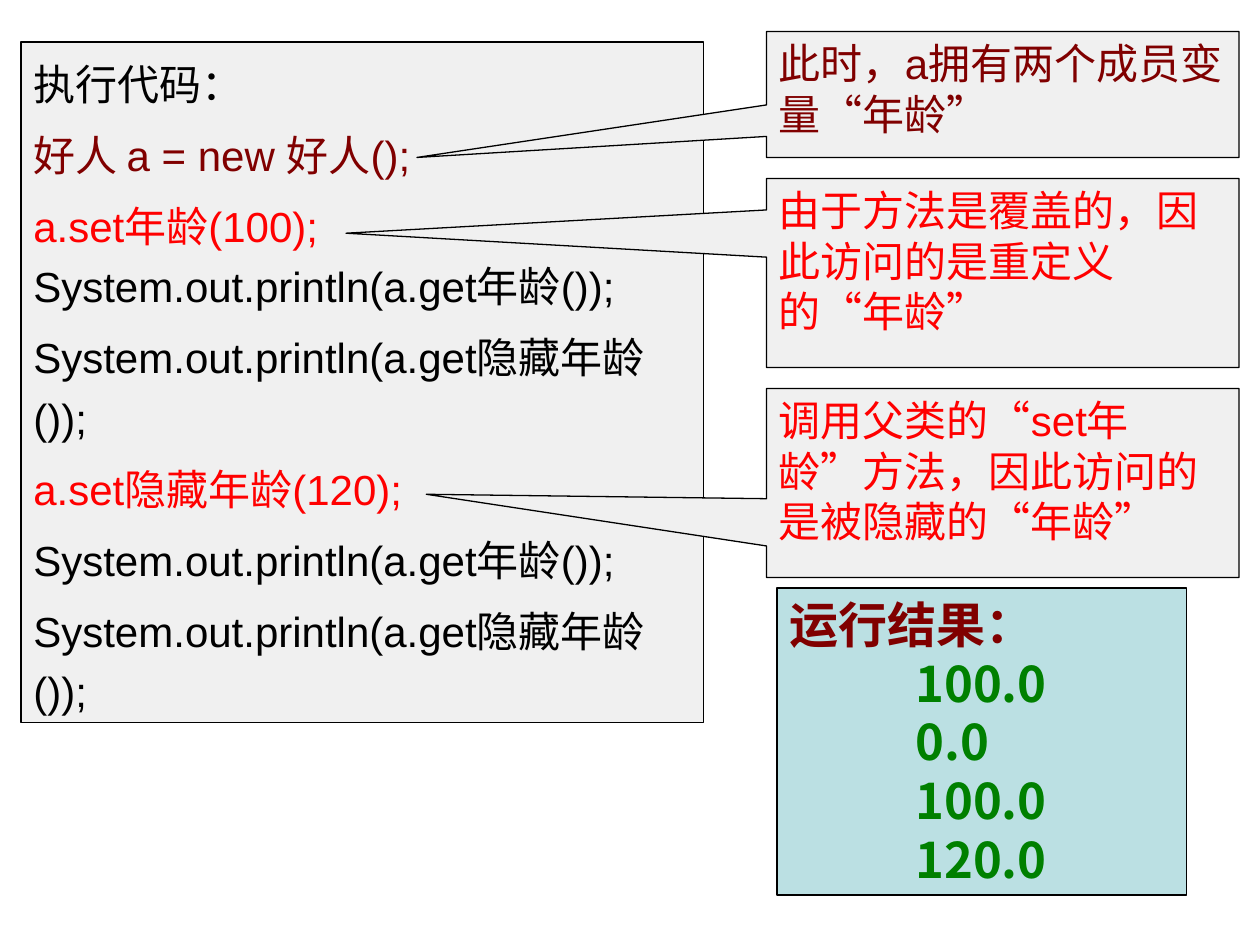
from pptx import Presentation
from pptx.dml.color import RGBColor as Rgb
from pptx.enum.shapes import MSO_SHAPE as Kind
from pptx.enum.text import MSO_ANCHOR as Anchor, PP_ALIGN as Align
from pptx.oxml.ns import qn
from pptx.util import Pt
from lxml.etree import SubElement as Sub

BLACK, MAROON, RED, GREEN = "000000", "800000", "FF0000", "008000"
GREY, TEAL = "F0F0F0", "BBE0E3"
SANS, CJK = "Arial", "Noto Sans CJK SC"


def color(code):
    return Rgb.from_string(code)


def write(para, text, size=24, font=SANS, tint=BLACK, bold=False):
    run = para.add_run()
    run.text = text
    face = run.font
    face.size, face.name, face.bold = Pt(size), font, bold
    face.color.rgb = color(tint)
    Sub(face._element, qn("a:ea")).set("typeface", CJK)


def add_tab(para, place):
    tabs = Sub(para._p.get_or_add_pPr(), qn("a:tabLst"))
    stop = Sub(tabs, qn("a:tab"))
    stop.set("pos", str(Pt(place)))
    stop.set("algn", "l")


def panel(slide, box, fill, kind=Kind.RECTANGLE):
    shape = slide.shapes.add_shape(kind, *map(Pt, box))
    shape.shadow.inherit = False
    shape.fill.solid()
    shape.fill.fore_color.rgb = color(fill)
    shape.line.color.rgb = color(BLACK)
    shape.line.width = Pt(0.75)
    frame = shape.text_frame
    frame.word_wrap = True
    frame.vertical_anchor = Anchor.TOP
    frame.margin_left = frame.margin_right = Pt(7.2)
    frame.margin_top = frame.margin_bottom = Pt(3.6)
    return shape


def fill_lines(frame, lines, gap=0, space=None, tab=None, **form):
    """Each line is a list of (text, tint) parts."""
    for i, parts in enumerate(lines):
        para = frame.add_paragraph() if i else frame.paragraphs[0]
        para.alignment = Align.LEFT
        para.line_spacing = space
        para.space_before = Pt(gap if i else 0)
        if tab:
            add_tab(para, tab)
        for text, tint in parts:
            write(para, text, tint=tint, **form)


# Code listing on the left
def code_panel(slide, box):
    frame = panel(slide, box, GREY).text_frame
    age = "System.out.println(a.get年龄());"
    hidden = "System.out.println(a.get隐藏年龄());"
    fill_lines(frame, [
        [("执行代码：", BLACK)],
        [("好人 a = new 好人();", MAROON)],
        [("a.set年龄(100); ", RED), (age, BLACK)],
        [(hidden, BLACK)],
        [("a.set隐藏年龄(120);", RED)],
        [(age, BLACK)],
        [(hidden, BLACK)],
    ], gap=6, space=1.2)


# Note whose tip points at a code line; tip is relative to the box
def callout(slide, box, tip, text, tint):
    shape = panel(slide, box, GREY, Kind.RECTANGULAR_CALLOUT)
    shape.adjustments[0], shape.adjustments[1] = tip
    fill_lines(shape.text_frame, [[(text, tint)]])


# Program output at the lower right
def result_panel(slide, box):
    frame = panel(slide, box, TEAL).text_frame
    values = ["100.0", "0.0", "100.0", "120.0"]
    rows = [[("\t" + value, GREEN)] for value in values]
    fill_lines(frame, [[("运行结果：", MAROON)]] + rows,
               tab=72, size=28, font=CJK, bold=True)


def main():
    deck = Presentation()
    deck.slide_width, deck.slide_height = Pt(720), Pt(540)
    slide = deck.slides.add_slide(deck.slide_layouts[6])

    code_panel(slide, (12, 24, 390, 388.8))
    left, wide = 438, 270
    notes = [
        (18, 72, (-1.24, 0.5), "此时，a拥有两个成员变量“年龄”", MAROON),
        (102, 108, (-1.39, -0.21),
         "由于方法是覆盖的，因此访问的是重定义的“年龄”", RED),
        (222, 108, (-1.22, 0.06),
         "调用父类的“set年龄”方法，因此访问的是被隐藏的“年龄”", RED),
    ]
    for top, high, tip, text, tint in notes:
        callout(slide, (left, top, wide, high), tip, text, tint)
    result_panel(slide, (444, 336, 234, 175.5))

    deck.save("out.pptx")


if __name__ == "__main__":
    main()
